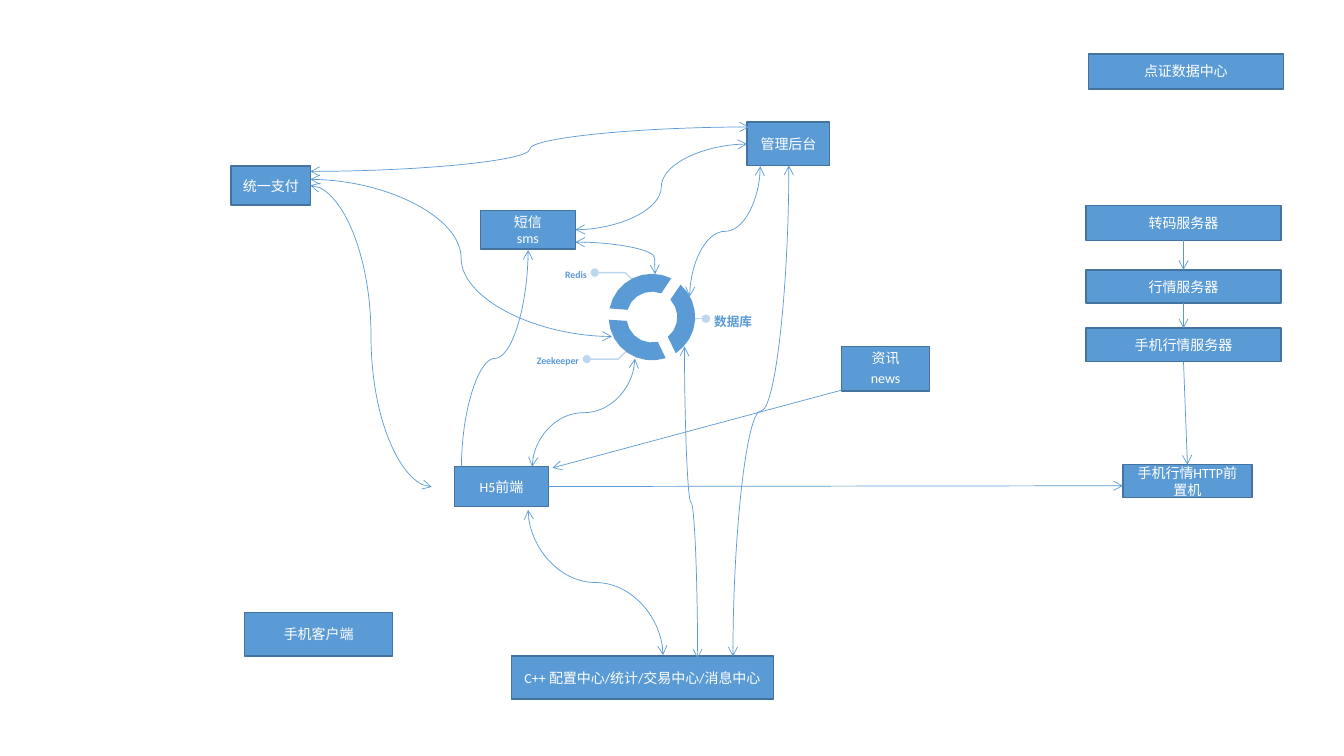
from math import cos, radians, sin

from lxml.etree import SubElement
from pptx import Presentation
from pptx.dml.color import RGBColor
from pptx.enum.shapes import MSO_CONNECTOR as Link, MSO_SHAPE as Preset
from pptx.enum.text import MSO_ANCHOR as Anchor, PP_ALIGN as Align
from pptx.oxml.ns import qn
from pptx.util import Cm, Pt


class Theme:
    fill = RGBColor(0x5B, 0x9B, 0xD5)
    border = RGBColor(0x43, 0x73, 0x9E)
    leader = RGBColor(0xBD, 0xD7, 0xEE)
    white = RGBColor(0xFF, 0xFF, 0xFF)
    font = "Calibri"
    box_size, hub_size, side_size = 10, 9, 7
    thin, normal = 0.5, 1


# Content: lengths in centimetres
BOXES = {  # name: (text, left, top, width, height)
    "pay": ("统一支付", 5.82, 4.18, 2.01, 0.99),
    "core": ("C++ 配置中心/统计/交易中心/消息中心", 12.89, 16.53, 6.6, 1.09),
    "news": ("资讯\nnews", 21.21, 8.73, 2.22, 1.12),
    "h5": ("H5前端", 11.46, 11.75, 2.36, 1.02),
    "admin": ("管理后台", 18.83, 3.08, 2.08, 1.09),
    "sms": ("短信\nsms", 12.11, 5.31, 2.39, 0.97),
    "transcode": ("转码服务器", 27.37, 5.18, 4.91, 0.88),
    "quotes": ("行情服务器", 27.37, 6.8, 4.91, 0.84),
    "mobile_quotes": ("手机行情服务器", 27.37, 8.27, 4.91, 0.84),
    "http_front": ("手机行情HTTP前置机", 28.3, 11.71, 3.25, 0.83),
    "data_center": ("点证数据中心", 27.43, 1.36, 4.91, 0.88),
    "client": ("手机客户端", 6.17, 15.44, 3.72, 1.09),
}
SERVER_CHAIN = ["transcode", "quotes", "mobile_quotes", "http_front"]
LABELS = [  # text, left, top, width, height, size, alignment, line spacing
    ("数据库", 18.0, 7.87, 1.22, 0.43, Theme.hub_size, Align.LEFT, 1.1),
    ("Redis", 12.83, 6.69, 1.96, 0.38, Theme.side_size, Align.RIGHT, 1.2),
    ("Zeekeeper", 12.63, 8.86, 1.96, 0.38, Theme.side_size, Align.RIGHT, 1.2),
]
LEADERS = [
    [(15.98, 7.09), (15.76, 6.87), (14.99, 6.87)],
    [(15.8, 8.84), (15.58, 9.05), (14.79, 9.05)],
]
HUB_LEADER = ((17.42, 8.03), (17.79, 8.03))
RING_CENTER, RING_OUTER, RING_INNER = (16.43, 7.99), 1.09, 0.64
RING_GAPS = [64, 184, 304]  # degrees clockwise from the right
CURVES = [  # start, end, starting axis, bend position, arrow at start
    ((11.63, 11.76), (13.31, 6.3), "y", 0.5, False),
    ((10.88, 12.27), (7.82, 4.67), "x", 0.5, True),
    ((16.0, 9.04), (13.41, 11.76), "y", 0.5, True),
    ((19.88, 4.17), (18.47, 16.54), "y", 0.5, True),
    ((18.83, 3.63), (14.5, 5.79), "x", 0.5, True),
    ((18.88, 3.2), (7.82, 4.32), "x", 0.5, True),
    ((19.16, 4.19), (17.38, 7.47), "y", 0.5, True),
    ((14.5, 6.1), (16.51, 6.91), "x", 0.995, True),
    ((13.31, 12.85), (16.71, 16.51), "y", 0.5, True),
    ((15.42, 8.48), (7.82, 4.52), "x", 0.5, True),
    ((17.58, 16.59), (17.25, 8.74), "y", 0.5, True),
]
H5_TO_HTTP = ((13.82, 12.26), (28.3, 12.24))
NEWS_TO_H5 = ((21.21, 9.83), (13.92, 11.79))

presentation = Presentation()
presentation.slide_width, presentation.slide_height = Cm(33.87), Cm(19.05)
slide = presentation.slides.add_slide(presentation.slide_layouts[6])
shapes = slide.shapes


def style_line(shape, color, width, head=None, tail=None):
    shape.line.color.rgb = color
    shape.line.width = Pt(width)
    line = shape._element.spPr.find(qn("a:ln"))
    for tag, end in (("a:headEnd", head), ("a:tailEnd", tail)):
        if end:
            SubElement(line, qn(tag), type=end)


def add_link(kind, start, end, color=Theme.fill, width=Theme.thin, head=None, tail="arrow"):
    connector = shapes.add_connector(kind, *(Cm(value) for value in (*start, *end)))
    style_line(connector, color, width, head, tail)
    SubElement(connector._element.spPr, qn("a:effectLst"))
    return connector


def add_curve(start, end, axis, bend, two_way):
    """Turn the curve so that it leaves its start along the given axis."""
    dx, dy = end[0] - start[0], end[1] - start[1]
    if axis == "x":
        angle, along, across = (0, dx, dy) if dx > 0 else (180, -dx, -dy)
    else:
        angle, along, across = (90, dy, -dx) if dy > 0 else (270, -dy, dx)
    middle_x, middle_y = (start[0] + end[0]) / 2, (start[1] + end[1]) / 2
    connector = add_link(
        Link.CURVE,
        (middle_x - along / 2, middle_y - across / 2),
        (middle_x + along / 2, middle_y + across / 2),
        head="arrow" if two_way else None,
    )
    properties = connector._element.spPr
    properties.find(qn("a:xfrm")).set("rot", str(angle * 60000))
    adjustments = properties.find(qn("a:prstGeom")).find(qn("a:avLst"))
    SubElement(adjustments, qn("a:gd"), name="adj1", fmla=f"val {round(bend * 100000)}")


def add_outline(points, close):
    points = [(Cm(x), Cm(y)) for x, y in points]
    builder = shapes.build_freeform(*points[0], scale=1.0)
    builder.add_line_segments(points[1:], close=close)
    shape = builder.convert_to_shape()
    shape.shadow.inherit = False
    return shape


def arc(radius, first, last, steps):
    for step in range(steps + 1):
        angle = radians(first + (last - first) * step / steps)
        yield RING_CENTER[0] + radius * cos(angle), RING_CENTER[1] + radius * sin(angle)


def style_text(paragraph, size, color, alignment, bold=False):
    paragraph.alignment = alignment
    for run in paragraph.runs:
        run.font.name, run.font.size, run.font.bold = Theme.font, Pt(size), bold
        run.font.color.rgb = color


# Boxes
boxes = {}
for name, (text, *place) in BOXES.items():
    box = boxes[name] = shapes.add_shape(Preset.RECTANGLE, *map(Cm, place))
    box.shadow.inherit = False
    box.fill.solid()
    box.fill.fore_color.rgb = Theme.fill
    style_line(box, Theme.border, Theme.normal)
    box.text_frame.text = text
    box.text_frame.word_wrap = True
    box.text_frame.vertical_anchor = Anchor.MIDDLE
    for paragraph in box.text_frame.paragraphs:
        style_text(paragraph, Theme.box_size, Theme.white, Align.CENTER)
        if name == "news":
            paragraph.line_spacing, paragraph.space_after = 0.9, Pt(3.5)

# Database ring with its leaders and labels
add_link(Link.STRAIGHT, *HUB_LEADER, color=Theme.leader, width=Theme.normal, tail="oval")
for points in LEADERS:
    leader = add_outline(points, close=False)
    leader.fill.background()
    style_line(leader, Theme.leader, Theme.normal, tail="oval")
for gap in RING_GAPS:
    outer = arc(RING_OUTER, gap + 7.5, gap + 112.5, steps=8)
    inner = arc(RING_INNER, gap + 107.5, gap + 12.5, steps=5)
    segment = add_outline([*outer, *inner], close=True)
    segment.fill.solid()
    segment.fill.fore_color.rgb = Theme.fill
    segment.line.fill.background()
for text, left, top, width, height, size, alignment, spacing in LABELS:
    frame = shapes.add_textbox(Cm(left), Cm(top), Cm(width), Cm(height)).text_frame
    frame.text = text
    frame.word_wrap = True
    frame.vertical_anchor = Anchor.MIDDLE
    frame.margin_left = frame.margin_right = frame.margin_top = frame.margin_bottom = 0
    frame.paragraphs[0].line_spacing = spacing
    style_text(frame.paragraphs[0], size, Theme.fill, alignment, bold=True)

# Links between the parts
for upper, lower in zip(SERVER_CHAIN, SERVER_CHAIN[1:]):
    connector = add_link(Link.STRAIGHT, (0, 0), (1, 1))
    connector.begin_connect(boxes[upper], 2)
    connector.end_connect(boxes[lower], 0)
add_link(Link.STRAIGHT, *H5_TO_HTTP).begin_connect(boxes["h5"], 3)
add_link(Link.STRAIGHT, *NEWS_TO_H5)
for curve in CURVES:
    add_curve(*curve)

presentation.save("out.pptx")
